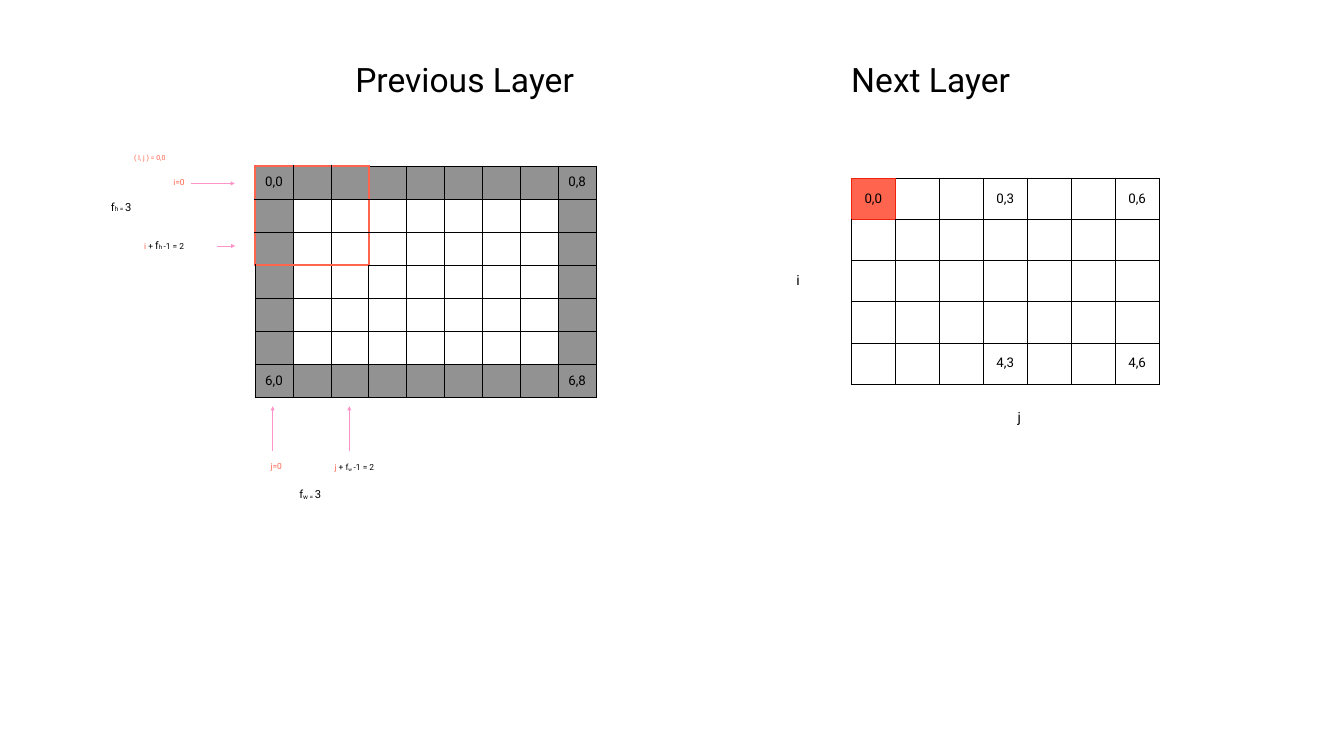
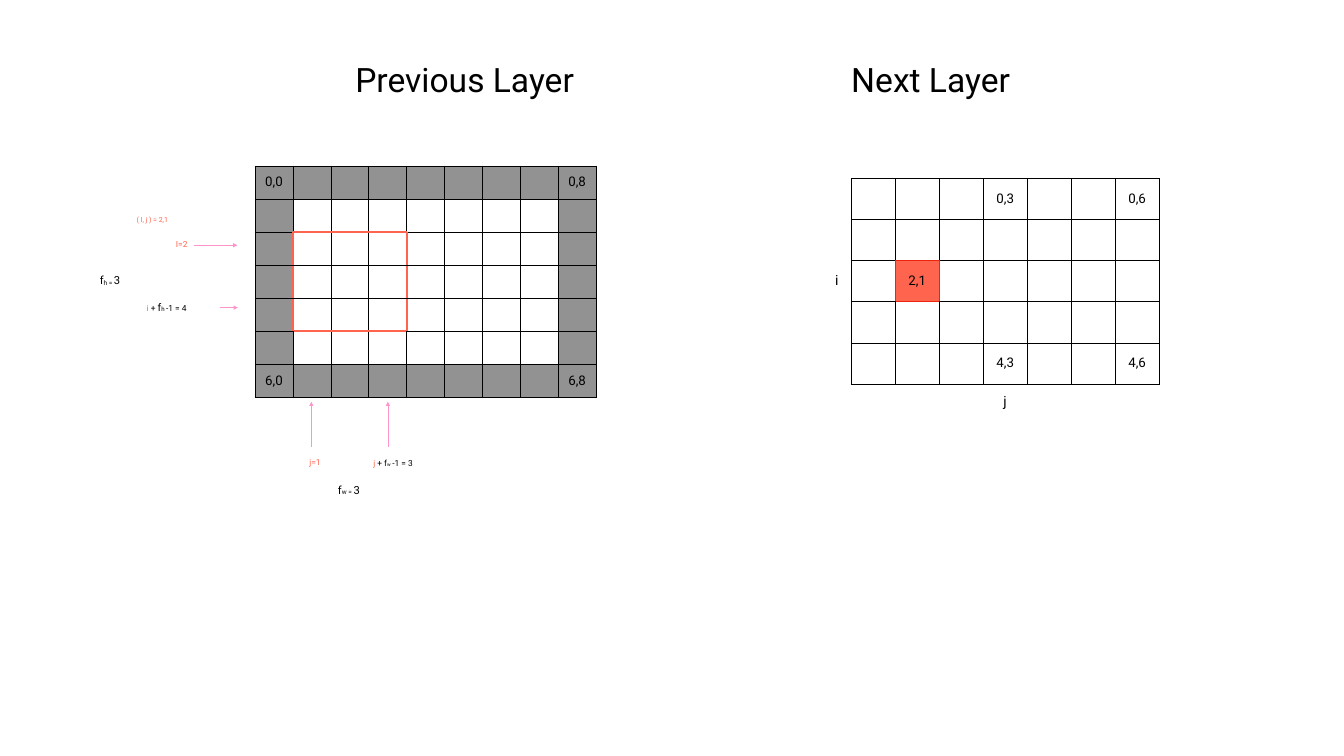
from dataclasses import dataclass
from typing import NamedTuple

from lxml.etree import SubElement
from pptx import Presentation
from pptx.dml.color import RGBColor
from pptx.enum.shapes import MSO_CONNECTOR
from pptx.enum.text import MSO_ANCHOR, MSO_AUTO_SIZE, PP_ALIGN
from pptx.oxml.ns import qn
from pptx.slide import Slide
from pptx.table import Table, _Cell as Cell
from pptx.text.text import _Paragraph as Paragraph
from pptx.util import Pt


# Theme
@dataclass(frozen=True)
class Theme:
    font: str = "Roboto"
    ink: str = "000000"
    accent: str = "FF644E"
    accent_edge: str = "EE230C"
    padding: str = "929292"
    arrow: str = "FF94CA"
    title: float = 48
    axis: float = 20
    cell: float = 19
    filter: float = 16
    symbol: float = 15
    formula: float = 12
    position: float = 10
    inset: float = 4.32
    line_spacing: float = 0.9
    space_before: float = 45
    subscript: str = "-6000"


THEME = Theme()


class Point(NamedTuple):
    x: float
    y: float

    def moved(self, shift: "Point") -> "Point":
        return Point(self.x + shift.x, self.y + shift.y)


class Piece(NamedTuple):
    text: str
    size: float
    color: str = THEME.ink
    lowered: bool = False


class Label(NamedTuple):
    at: Point
    width: float
    height: float
    pieces: list[Piece]


class Arrow(NamedTuple):
    start: Point
    end: Point


class Outline(NamedTuple):
    """A square of cells with a coloured edge."""
    row: int
    column: int
    size: int
    color: str
    widths: dict[str, float]
    corner_top: float


@dataclass(frozen=True)
class Grid:
    at: Point
    rows: int
    columns: int
    row_height: float
    column_width: float


PREVIOUS_GRID = Grid(Point(364.32, 236.88), 7, 9, 47.31, 54.16)
NEXT_GRID = Grid(Point(1216.08, 254.88), 5, 7, 58.75, 62.85)
PREVIOUS_CORNERS = [(0, 0), (0, 8), (6, 0), (6, 8)]
NEXT_MARKS = [(0, 3), (0, 6), (4, 3), (4, 6)]
FILTER_SIZE = 3


@dataclass(frozen=True)
class Step:
    """One position of the filter window."""
    i: int
    j: int
    row_letter: str
    top_width: float
    row_shift: Point
    column_shift: Point
    filter_height_at: Point
    i_axis_at: Point
    j_axis_at: Point


STEPS = [
    Step(0, 0, "i", 4, Point(0, 0), Point(0, 0),
         Point(154.08, 283.68), Point(1133.28, 385.92), Point(1449.36, 581.76)),
    Step(2, 1, "I", 3, Point(3.6, 88.2), Point(55.2, -6.48),
         Point(138.24, 388.8), Point(1188.72, 385.92), Point(1429.2, 558)),
]


# Text
def write_pieces(paragraph: Paragraph, pieces: list[Piece]) -> None:
    paragraph.line_spacing = THEME.line_spacing
    paragraph.space_before = Pt(THEME.space_before)
    for piece in pieces:
        run = paragraph.add_run()
        run.text = piece.text
        run.font.name = THEME.font
        run.font.size = Pt(piece.size)
        run.font.color.rgb = RGBColor.from_string(piece.color)
        if piece.lowered:
            run._r.get_or_add_rPr().set("baseline", THEME.subscript)


def draw_label(slide: Slide, label: Label) -> None:
    shape = slide.shapes.add_textbox(
        Pt(label.at.x), Pt(label.at.y), Pt(label.width), Pt(label.height))
    frame = shape.text_frame
    frame.word_wrap = False
    frame.auto_size = MSO_AUTO_SIZE.SHAPE_TO_FIT_TEXT
    frame.vertical_anchor = MSO_ANCHOR.MIDDLE
    frame.margin_left = frame.margin_right = Pt(THEME.inset)
    frame.margin_top = frame.margin_bottom = Pt(THEME.inset)
    write_pieces(frame.paragraphs[0], label.pieces)


# Arrows
def draw_arrow(slide: Slide, arrow: Arrow) -> None:
    connector = slide.shapes.add_connector(
        MSO_CONNECTOR.STRAIGHT, Pt(arrow.start.x), Pt(arrow.start.y),
        Pt(arrow.end.x), Pt(arrow.end.y))
    connector.line.color.rgb = RGBColor.from_string(THEME.arrow)
    connector.line.width = Pt(1)
    SubElement(connector.line._get_or_add_ln(), qn("a:tailEnd"), type="triangle")
    SubElement(connector._element.spPr, qn("a:effectLst"))


# Tables
def outline_edges(outline: Outline) -> dict[tuple[int, int, str], tuple[str, float]]:
    """Give each edge to the cell inside the outline and to its outer neighbour."""
    edges = {}
    first_row, first_column, size = outline.row, outline.column, outline.size
    for step in range(size):
        row, column = first_row + step, first_column + step
        sides = [
            (row, first_column, "L", row, first_column - 1, "R"),
            (row, first_column + size - 1, "R", row, first_column + size, "L"),
            (first_row, column, "T", first_row - 1, column, "B"),
            (first_row + size - 1, column, "B", first_row + size, column, "T"),
        ]
        for inner_row, inner_column, side, outer_row, outer_column, opposite in sides:
            width = outline.widths[side]
            if side == "T" and step == 0:
                width = outline.corner_top
            edges[inner_row, inner_column, side] = (outline.color, width)
            edges[outer_row, outer_column, opposite] = (outline.color, width)
    return edges


def set_border(cell: Cell, side: str, color: str, width: float) -> None:
    line = SubElement(cell._tc.get_or_add_tcPr(), qn(f"a:ln{side}"), w=str(Pt(width)))
    fill = SubElement(line, qn("a:solidFill"))
    SubElement(fill, qn("a:srgbClr"), val=color)


def draw_grid(slide: Slide, grid: Grid, marks: list[tuple[int, int]],
              fills: dict[tuple[int, int], str], outline: Outline) -> None:
    frame = slide.shapes.add_table(
        grid.rows, grid.columns, Pt(grid.at.x), Pt(grid.at.y),
        Pt(grid.columns * grid.column_width), Pt(grid.rows * grid.row_height))
    table: Table = frame.table
    table.first_row = table.horz_banding = False
    for column in table.columns:
        column.width = Pt(grid.column_width)
    for row in table.rows:
        row.height = Pt(grid.row_height)

    edges = outline_edges(outline)
    for row in range(grid.rows):
        for column in range(grid.columns):
            cell = table.cell(row, column)
            for side in "LRTB":
                set_border(cell, side, *edges.get((row, column, side), (THEME.ink, 1)))
            if (row, column) in fills:
                cell.fill.solid()
                cell.fill.fore_color.rgb = RGBColor.from_string(fills[row, column])
            else:
                cell.fill.background()
            cell.vertical_anchor = MSO_ANCHOR.MIDDLE
            cell.margin_left = cell.margin_right = Pt(THEME.inset)
            cell.margin_top = cell.margin_bottom = Pt(THEME.inset)
            if (row, column) in marks:
                paragraph = cell.text_frame.paragraphs[0]
                paragraph.alignment = PP_ALIGN.CENTER
                write_pieces(paragraph, [Piece(f"{row},{column}", THEME.cell)])


def draw_next_layer(slide: Slide, step: Step) -> None:
    current = (step.i, step.j)
    outline = Outline(step.i, step.j, 1, THEME.accent_edge, dict.fromkeys("LRTB", 1), 1)
    draw_grid(slide, NEXT_GRID, [*NEXT_MARKS, current], {current: THEME.accent}, outline)


def draw_previous_layer(slide: Slide, step: Step) -> None:
    last_row, last_column = PREVIOUS_GRID.rows - 1, PREVIOUS_GRID.columns - 1
    fills = {
        (row, column): THEME.padding
        for row in range(PREVIOUS_GRID.rows)
        for column in range(PREVIOUS_GRID.columns)
        if row in (0, last_row) or column in (0, last_column)
    }
    widths = {"L": 3, "R": 3, "T": step.top_width, "B": 3}
    outline = Outline(step.i, step.j, FILTER_SIZE, THEME.accent, widths, 3)
    draw_grid(slide, PREVIOUS_GRID, PREVIOUS_CORNERS, fills, outline)


# Labels and arrows of one step
def filter_pieces(letter: str) -> list[Piece]:
    return [Piece("f", THEME.filter), Piece(f"{letter} = ", THEME.filter, lowered=True),
            Piece(str(FILTER_SIZE), THEME.filter)]


def step_labels(step: Step) -> list[Label]:
    small, symbol, accent = THEME.formula, THEME.symbol, THEME.accent
    last_i, last_j = step.i + FILTER_SIZE - 1, step.j + FILTER_SIZE - 1
    rows, columns = step.row_shift, step.column_shift
    return [
        Label(step.i_axis_at, 13.68, 31.68, [Piece("i", THEME.axis)]),
        Label(step.j_axis_at, 13.68, 31.68, [Piece("j", THEME.axis)]),
        Label(Point(503.28, 84.24), 325.44, 63.36, [Piece("Previous Layer", THEME.title)]),
        Label(Point(1211.76, 84.24), 241.2, 63.36, [Piece("Next Layer", THEME.title)]),
        Label(step.filter_height_at, 41.04, 25.2, filter_pieces("h")),
        Label(Point(423.36, 694.8).moved(columns), 43.2, 25.2, filter_pieces("w")),
        Label(Point(201.6, 339.12).moved(rows), 70.56, 24.48, [
            Piece("i ", small, accent), Piece("+ ", small), Piece("f", symbol),
            Piece("h ", symbol, lowered=True), Piece(f"-1 = {last_i}", small)]),
        Label(Point(243.36, 250.56).moved(rows), 25.2, 21.6,
              [Piece(f"{step.row_letter}={step.i}", small, accent)]),
        Label(Point(382.32, 656.64).moved(columns), 28.8, 21.6,
              [Piece(f"j={step.j}", small, accent)]),
        Label(Point(473.76, 655.2).moved(columns), 73.44, 24.48, [
            Piece("j ", small, accent), Piece("+ f", small), Piece("w", small, lowered=True),
            Piece(" ", symbol, lowered=True), Piece(f"-1 = {last_j}", small)]),
        Label(Point(187.2, 216.72).moved(rows), 55.44, 19.44,
              [Piece(f"( I, j ) = {step.i},{step.j}", THEME.position, accent)]),
    ]


def step_arrows(step: Step) -> list[Arrow]:
    row_arrows = [Arrow(Point(272.88, 262.08), Point(335.52, 262.08)),
                  Arrow(Point(310.32, 351.36), Point(336.24, 351.36))]
    column_arrows = [Arrow(Point(x, 644.4), Point(x, 580.32)) for x in (389.52, 498.96)]
    return [
        Arrow(arrow.start.moved(shift), arrow.end.moved(shift))
        for arrows, shift in ((row_arrows, step.row_shift), (column_arrows, step.column_shift))
        for arrow in arrows
    ]


def main() -> None:
    presentation = Presentation()
    presentation.slide_width, presentation.slide_height = Pt(1920), Pt(1080)
    for step in STEPS:
        slide = presentation.slides.add_slide(presentation.slide_layouts[6])
        draw_next_layer(slide, step)
        draw_previous_layer(slide, step)
        for label in step_labels(step):
            draw_label(slide, label)
        for arrow in step_arrows(step):
            draw_arrow(slide, arrow)
    presentation.save("out.pptx")


if __name__ == "__main__":
    main()
